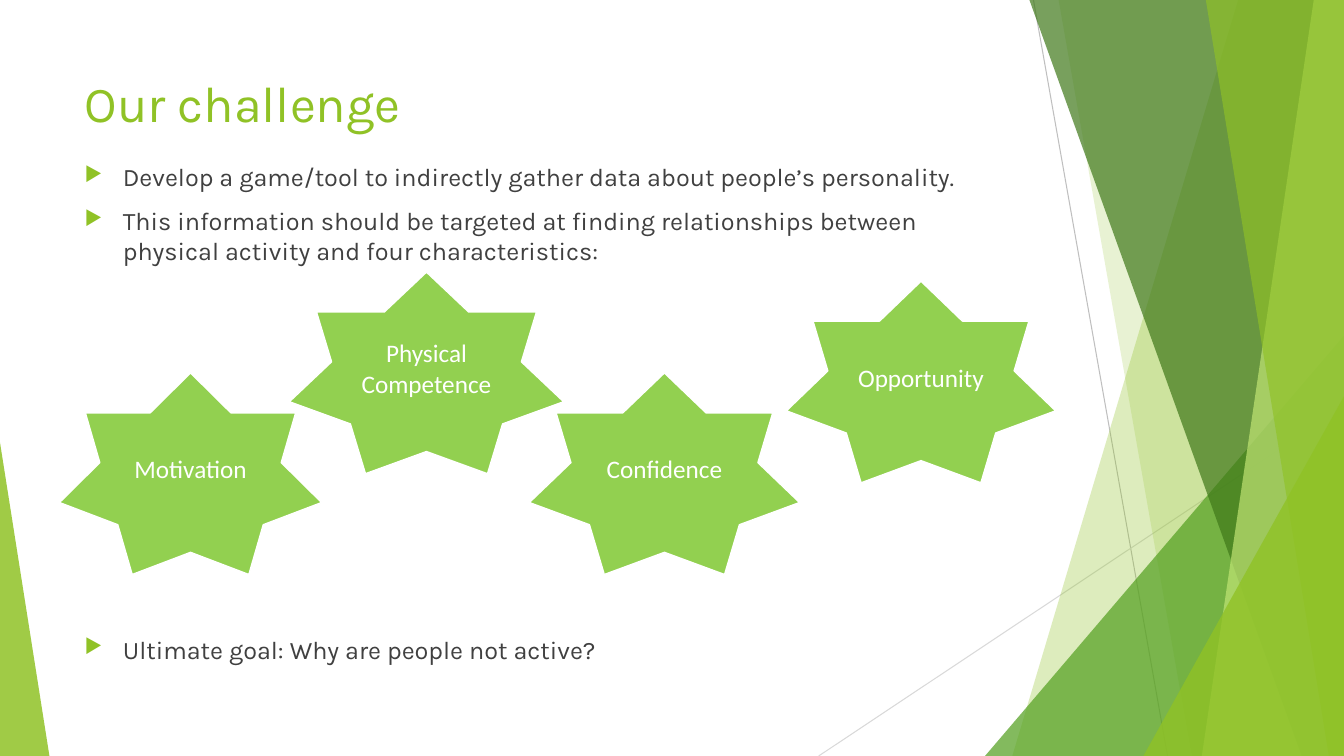
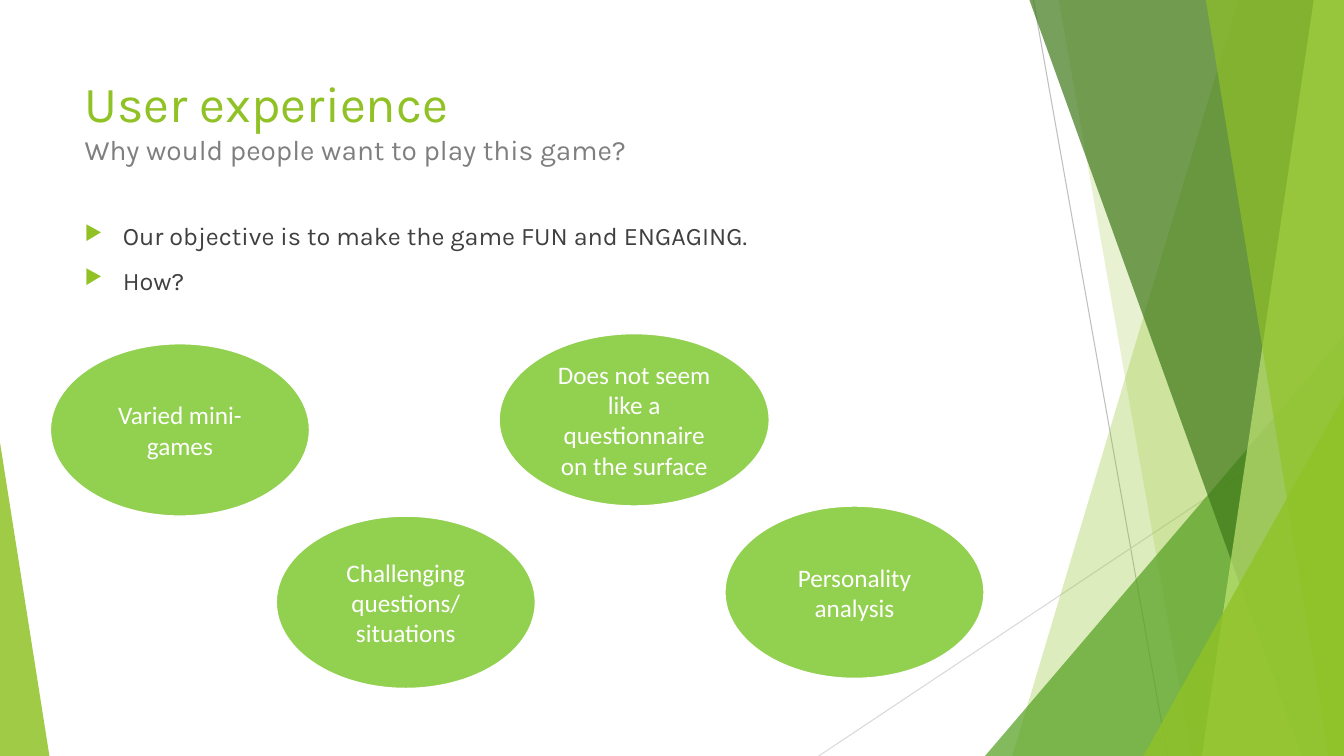
from dataclasses import dataclass

from lxml import etree
from pptx import Presentation
from pptx.dml.color import RGBColor
from pptx.enum.shapes import MSO_CONNECTOR, MSO_SHAPE
from pptx.enum.text import MSO_ANCHOR, PP_ALIGN
from pptx.oxml.ns import qn
from pptx.slide import Slide
from pptx.text.text import TextFrame, _Paragraph
from pptx.util import Pt

PX = 9144
WIDE, HIGH = 1333, 750
LEFT, SPAN = 74, 940
INDENT = 38

STAR = MSO_SHAPE.STAR_7_POINT
OVAL = MSO_SHAPE.OVAL
LINE = MSO_CONNECTOR.STRAIGHT
MID = MSO_ANCHOR.MIDDLE
CENTER = PP_ALIGN.CENTER

WHITE = RGBColor(0xFF, 0xFF, 0xFF)
SILVER = RGBColor(0xBF, 0xBF, 0xBF)
PALE = RGBColor(0xD9, 0xD9, 0xD9)
GRAY = RGBColor(0x7F, 0x7F, 0x7F)
DARK = RGBColor(0x40, 0x40, 0x40)
LIME = RGBColor(0x90, 0xC2, 0x26)
GREEN = RGBColor(0x54, 0xA0, 0x21)
FOREST = RGBColor(0x3F, 0x78, 0x19)
MINT = RGBColor(0xC0, 0xE4, 0x74)
LEAF = RGBColor(0x92, 0xD0, 0x50)

HEAD_FONT = "Karla"
BADGE_FONT = "Calibri"


@dataclass(frozen=True)
class Facet:
    points: tuple[tuple[int, int], ...]
    color: RGBColor
    alpha: int


@dataclass(frozen=True)
class Ray:
    start: tuple[int, int]
    end: tuple[int, int]
    color: RGBColor


@dataclass(frozen=True)
class Badge:
    left: int
    top: int
    width: int
    lines: tuple[str, ...]


RAYS = (
    Ray((1025, 0), (1158, HIGH), SILVER),
    Ray((WIDE, 403), (812, HIGH), PALE),
)


def band(top: int, foot: int, color: RGBColor, alpha: int) -> Facet:
    return Facet(((top, 0), (WIDE, 0), (WIDE, HIGH), (foot, HIGH)), color, alpha)


def wedge(foot: int, peak: int, color: RGBColor, alpha: int) -> Facet:
    return Facet(((foot, HIGH), (WIDE, peak), (WIDE, HIGH)), color, alpha)


FACETS = (
    band(1228, 1004, LIME, 30),
    band(1050, 1182, LIME, 20),
    wedge(977, 333, GREEN, 72),
    band(1021, 1291, FOREST, 70),
    band(1303, 1192, MINT, 70),
    band(1196, 1318, LIME, 65),
    wedge(1134, 393, LIME, 80),
    Facet(((0, HIGH), (0, 439), (49, HIGH)), LIME, 85),
)

STARS = (
    Badge(59, 370, 260, ("Motivation",)),
    Badge(287, 270, 272, ("Physical Competence",)),
    Badge(525, 370, 268, ("Confidence",)),
    Badge(780, 279, 267, ("Opportunity",)),
)

OVALS = (
    Badge(50, 341, 257, ("Varied mini-games",)),
    Badge(274, 512, 257, ("Challenging questions/", "situations")),
    Badge(495, 331, 268, ("Does not seem like a questionnaire on the surface",)),
    Badge(719, 502, 257, ("Personality analysis",)),
)


def add_run(para: _Paragraph, text: str, size: int, face: str, color: RGBColor) -> None:
    run = para.add_run()
    run.text = text
    run.font.size = Pt(size)
    run.font.name = face
    run.font.color.rgb = color


def next_para(frame: TextFrame, index: int) -> _Paragraph:
    return frame.add_paragraph() if index else frame.paragraphs[0]


def add_box(slide: Slide, top: int, height: int) -> TextFrame:
    box = slide.shapes.add_textbox(LEFT * PX, top * PX, SPAN * PX, height * PX)
    box.text_frame.word_wrap = True
    return box.text_frame


def add_title(slide: Slide, title: str, sub: str = "") -> None:
    para = add_box(slide, 67, 144).paragraphs[0]
    add_run(para, title, 36, HEAD_FONT, LIME)
    if sub:
        para.add_line_break()
        add_run(para, sub, 20, HEAD_FONT, GRAY)


def add_bullet(para: _Paragraph) -> None:
    props = para._p.get_or_add_pPr()
    props.set("marL", str(INDENT * PX))
    props.set("indent", str(-INDENT * PX))
    tint = etree.SubElement(props, qn("a:buClr"))
    etree.SubElement(tint, qn("a:srgbClr"), val=str(LIME))
    etree.SubElement(props, qn("a:buSzPct"), val="80000")
    etree.SubElement(props, qn("a:buChar"), char="▶")


def add_list(slide: Slide, top: int, height: int, items: tuple[str, ...]) -> None:
    frame = add_box(slide, top, height)
    for index, item in enumerate(items):
        para = next_para(frame, index)
        if index:
            para.space_before = Pt(10)
        add_bullet(para)
        add_run(para, item, 18, HEAD_FONT, DARK)


def add_ray(slide: Slide, ray: Ray) -> None:
    ends = [value * PX for value in ray.start + ray.end]
    line = slide.shapes.add_connector(LINE, *ends)
    line.line.color.rgb = ray.color
    line.line.width = Pt(0.75)
    etree.SubElement(line._element.spPr, qn("a:effectLst"))


def add_facet(slide: Slide, facet: Facet) -> None:
    pen = slide.shapes.build_freeform(*facet.points[0], scale=PX)
    pen.add_line_segments(facet.points[1:], close=True)
    shape = pen.convert_to_shape()
    shape.shadow.inherit = False
    shape.fill.solid()
    shape.fill.fore_color.rgb = facet.color
    tint = shape._element.spPr.find(".//" + qn("a:srgbClr"))
    etree.SubElement(tint, qn("a:alpha"), val=str(facet.alpha * 1000))
    shape.line.fill.background()


def add_badge(slide: Slide, kind: MSO_SHAPE, height: int, badge: Badge) -> None:
    shape = slide.shapes.add_shape(
        kind, badge.left * PX, badge.top * PX, badge.width * PX, height * PX
    )
    shape.shadow.inherit = False
    shape.fill.solid()
    shape.fill.fore_color.rgb = LEAF
    shape.line.color.rgb = WHITE
    shape.line.width = Pt(1)
    frame = shape.text_frame
    frame.word_wrap = True
    frame.vertical_anchor = MID
    for index, text in enumerate(badge.lines):
        para = next_para(frame, index)
        para.alignment = CENTER
        add_run(para, text, 18, BADGE_FONT, WHITE)


def add_slide(deck: Presentation, title: str, sub: str = "") -> Slide:
    slide = deck.slides.add_slide(deck.slide_layouts[6])
    for ray in RAYS:
        add_ray(slide, ray)
    for facet in FACETS:
        add_facet(slide, facet)
    add_title(slide, title, sub)
    return slide


def draw_goal(deck: Presentation) -> None:
    slide = add_slide(deck, "Our challenge")
    add_list(slide, 155, 115, (
        "Develop a game/tool to indirectly gather data about people’s personality.",
        "This information should be targeted at finding relationships between "
        "physical activity and four characteristics:",
    ))
    add_list(slide, 624, 40, ("Ultimate goal: Why are people not active?",))
    for star in STARS:
        add_badge(slide, STAR, 200, star)


def draw_play(deck: Presentation) -> None:
    slide = add_slide(deck, "User experience", "Why would people want to play this game?")
    add_list(slide, 214, 90, (
        "Our objective is to make the game FUN and ENGAGING.",
        "How?",
    ))
    for oval in OVALS:
        add_badge(slide, OVAL, 171, oval)


def main() -> None:
    deck = Presentation()
    deck.slide_width = WIDE * PX
    deck.slide_height = HIGH * PX
    draw_goal(deck)
    draw_play(deck)
    deck.save("out.pptx")


if __name__ == "__main__":
    main()
